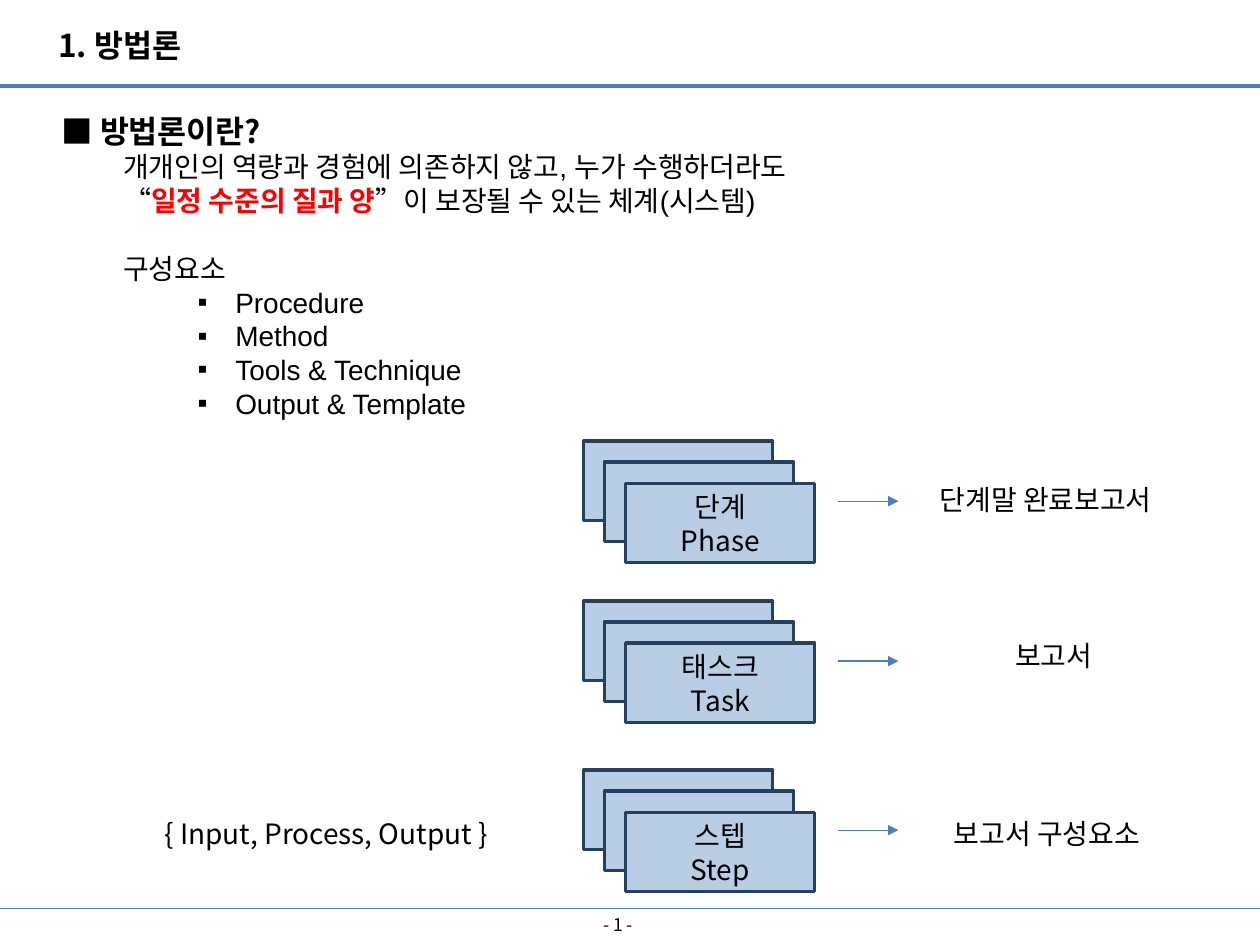
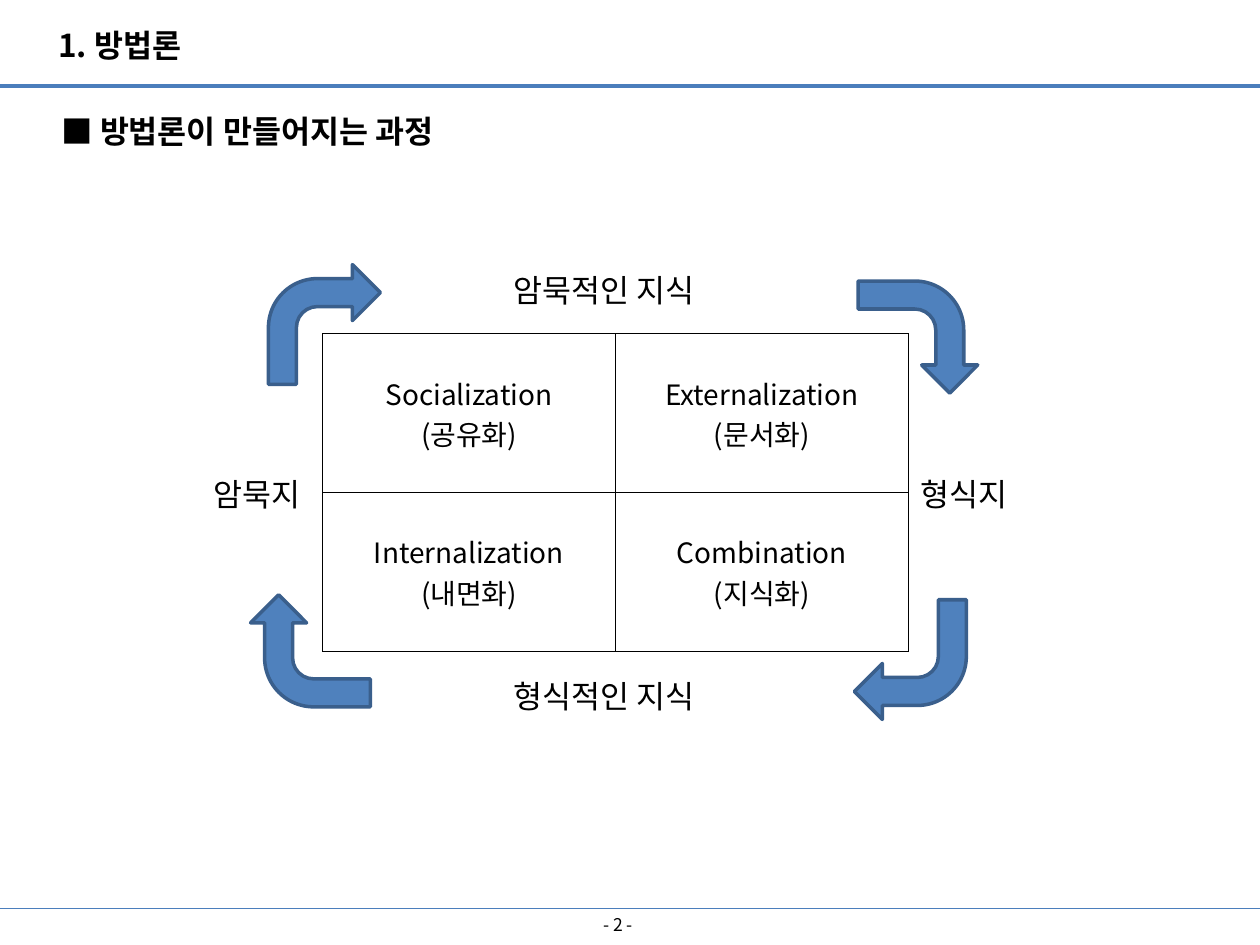
from lxml import etree
from pptx import Presentation
from pptx.dml.color import RGBColor
from pptx.enum import shapes, text
from pptx.oxml import ns
from pptx.util import Pt

COLORS = {
    "text": "000000",
    "accent": "FF0000",
    "rule": "4B7EBC",
    "card": "B9CDE5",
    "card_line": "254061",
    "arrow": "4F81BD",
    "arrow_line": "3A5F8C",
}
KOREAN_FONT = "Noto Sans CJK KR"
LATIN_FONT = "Arial"
LINE_HEIGHT = 1.21


def color(name):
    return RGBColor.from_string(COLORS[name])


def add_xml(parent, tag, **attributes):
    return etree.SubElement(parent, ns.qn(tag), attributes)


class Deck:
    """Holds the presentation, its style and the slide being built."""

    def __init__(self):
        self.presentation = Presentation()
        self.presentation.slide_width = Pt(720)
        self.presentation.slide_height = Pt(540)
        self.slide = None

    def start_slide(self, title):
        layout = self.presentation.slide_layouts.get_by_name("Title Only")
        self.slide = self.presentation.slides.add_slide(layout)
        self.line(0, 49, 720, 49, 2.25)
        self.line(0, 519, 720, 519)
        shape = self.slide.shapes.title
        shape.left, shape.top, shape.width, shape.height = Pt(26), Pt(10.8), Pt(91), Pt(28.8)
        self.fill_frame(shape.text_frame, [title], 18, bold=True, wrap=False)
        page = f"- {len(self.presentation.slides)} -"
        self.text_box(page, 269.3, 519, 167.8, 18.7, 10, align="CENTER",
                      anchor="MIDDLE", wrap=True)

    def run(self, paragraph, words, size, bold=False, fill="text", latin=KOREAN_FONT):
        run = paragraph.add_run()
        run.text = words
        run.font.size = Pt(size)
        run.font.bold = bold
        run.font.name = latin
        run.font.color.rgb = color(fill)
        add_xml(run.font._element, "a:ea", typeface=KOREAN_FONT)

    def fill_frame(self, frame, lines, size, bold=False, align="LEFT",
                   anchor="TOP", wrap=True, spacing=LINE_HEIGHT):
        frame.word_wrap = wrap
        frame.auto_size = text.MSO_AUTO_SIZE.NONE
        frame.vertical_anchor = text.MSO_ANCHOR[anchor]
        for index, words in enumerate(lines):
            paragraph = frame.add_paragraph() if index else frame.paragraphs[0]
            paragraph.alignment = text.PP_ALIGN[align]
            paragraph.line_spacing = Pt(round(size * spacing, 1))
            self.run(paragraph, words, size, bold)

    def text_box(self, words, left, top, width, height, size, **style):
        box = self.slide.shapes.add_textbox(Pt(left), Pt(top), Pt(width), Pt(height))
        style.setdefault("wrap", False)
        self.fill_frame(box.text_frame, [words], size, **style)
        return box.text_frame

    def heading(self, words, height=59):
        frame = self.text_box("■ " + words, 28, 49, 684, height, 18, bold=True, wrap=True)
        frame.paragraphs[0].line_spacing = Pt(33)
        return frame

    def body(self, frame, runs, left=35.3, bullet=None, before=0):
        """Add an indented paragraph; runs are (words, emphasised), None breaks the line."""
        paragraph = frame.add_paragraph()
        paragraph.line_spacing = Pt(19.3)
        paragraph.space_before = Pt(before)
        properties = paragraph._p.get_or_add_pPr()
        properties.set("marL", str(Pt(left)))
        if bullet:
            properties.set("indent", str(Pt(-21.6)))
            add_xml(properties, "a:buFont", typeface=LATIN_FONT)
            add_xml(properties, "a:buChar", char=bullet)
        for item in runs:
            if item is None:
                paragraph.add_line_break()
                continue
            words, emphasised = item
            self.run(paragraph, words, 16, emphasised,
                     "accent" if emphasised else "text", LATIN_FONT)

    def line(self, x1, y1, x2, y2, width=0.75, arrow=False):
        line = self.slide.shapes.add_connector(
            shapes.MSO_CONNECTOR.STRAIGHT, Pt(x1), Pt(y1), Pt(x2), Pt(y2))
        line.line.color.rgb = color("rule")
        line.line.width = Pt(width)
        if arrow:
            add_xml(line.line._get_or_add_ln(), "a:tailEnd", type="triangle")
        add_xml(line._element.spPr, "a:effectLst")

    def shape(self, kind, left, top, width, height, fill, parent=None):
        parent = parent or self.slide.shapes
        shape = parent.add_shape(shapes.MSO_SHAPE[kind], Pt(left), Pt(top),
                                 Pt(width), Pt(height))
        shape.shadow.inherit = False
        shape.fill.solid()
        shape.fill.fore_color.rgb = color(fill)
        shape.line.color.rgb = color(fill + "_line")
        shape.line.width = Pt(2)
        return shape

    def card_stack(self, lines, left, top, count=3, step=12.1):
        group = self.slide.shapes.add_group_shape()
        for index in range(count):
            card = self.shape("RECTANGLE", left + index * step, top + index * step,
                              108, 45.4, "card", group.shapes)
        self.fill_frame(card.text_frame, lines, 16, align="CENTER", anchor="MIDDLE")

    def table(self, rows, left, top, column_width, row_height):
        table = self.slide.shapes.add_table(
            len(rows), len(rows[0]), Pt(left), Pt(top),
            Pt(column_width * len(rows[0])), Pt(row_height * len(rows))).table
        table.first_row = table.horz_banding = False
        for column in table.columns:
            column.width = Pt(column_width)
        for row, contents in zip(table.rows, rows):
            row.height = Pt(row_height)
            for cell, lines in zip(row.cells, contents):
                self.fill_frame(cell.text_frame, lines, 16, align="CENTER", spacing=1.45)
                cell.vertical_anchor = text.MSO_ANCHOR.MIDDLE
                self.cell_borders(cell)
                cell.fill.background()

    def cell_borders(self, cell):
        properties = cell._tc.get_or_add_tcPr()
        for side in ("a:lnL", "a:lnR", "a:lnT", "a:lnB"):
            border = add_xml(properties, side, w=str(Pt(0.25)))
            add_xml(add_xml(border, "a:solidFill"), "a:srgbClr", val=COLORS["text"])


def build_definition(deck):
    deck.start_slide("1. 방법론")
    frame = deck.heading("방법론이란?", 214.6)
    deck.body(frame, [
        ("개개인의 역량과 경험에 의존하지 않고, 누가 수행하더라도", False), None,
        ("“", False), ("일정 수준의 질과 양", True),
        ("”이 보장될 수 있는 체계(시스템)", False)])
    deck.body(frame, [("구성요소", False)], before=19.3)
    for component in ("Procedure", "Method", "Tools & Technique", "Output & Template"):
        deck.body(frame, [(component, False)], left=99.4, bullet="▪")

    levels = [
        (["단계", "Phase"], 252, "단계말 완료보고서", 530, 272.2, 150),
        (["태스크", "Task"], 343.4, "보고서", 573, 361.4, 63.4),
        (["스텝", "Step"], 440, "보고서 구성요소", 538, 463, 133),
    ]
    for names, top, report, report_left, report_top, report_width in levels:
        deck.card_stack(names, 333.4, top)
        deck.line(478.8, top + 34.4, 513.4, top + 34.4, arrow=True)
        deck.text_box(report, report_left, report_top, report_width, 26.6, 16)
    deck.text_box("{ Input, Process, Output }", 87.1, 463, 199.4, 26.6, 16)


def build_knowledge_cycle(deck):
    deck.start_slide("1. 방법론")
    deck.heading("방법론이 만들어지는 과정")
    deck.table([
        [["Socialization", "(공유화)"], ["Externalization", "(문서화)"]],
        [["Internalization", "(내면화)"], ["Combination", "(지식화)"]],
    ], 184.3, 190.6, 167.4, 90.8)
    for words, left, top, width in (
            ("암묵적인 지식", 286.6, 151.2, 130.3), ("형식적인 지식", 286.6, 383.4, 130.3),
            ("암묵지", 115.2, 268, 69), ("형식지", 518.8, 268, 69)):
        deck.text_box(words, left, top, width, 28.8, 18)
    corners = [(153.4, 151.2), (492.5, 158.4), (488.2, 342.7), (145.4, 337.7)]
    for turn, (left, top) in enumerate(corners):
        arrow = deck.shape("BENT_ARROW", left, top, 64, 68.4, "arrow")
        arrow.rotation = 90 * turn


def main():
    deck = Deck()
    build_definition(deck)
    build_knowledge_cycle(deck)
    deck.presentation.save("out.pptx")


if __name__ == "__main__":
    main()
